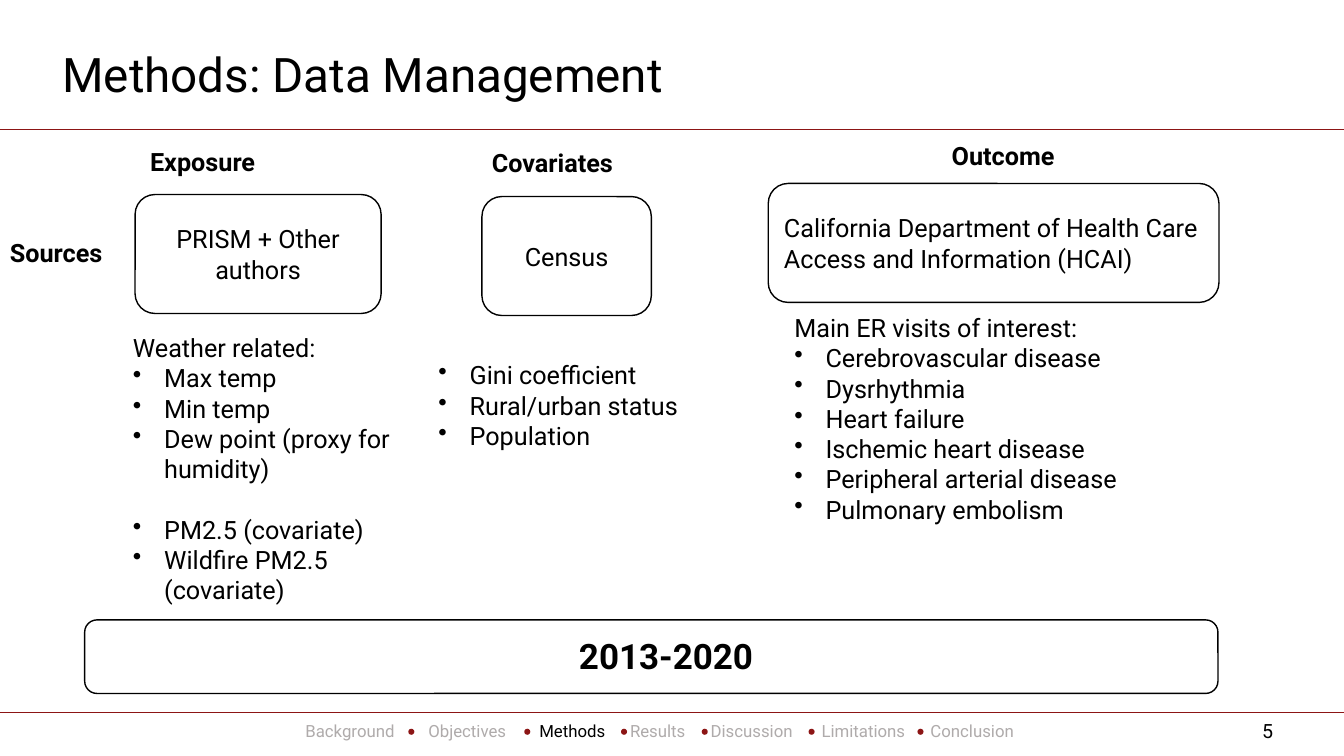
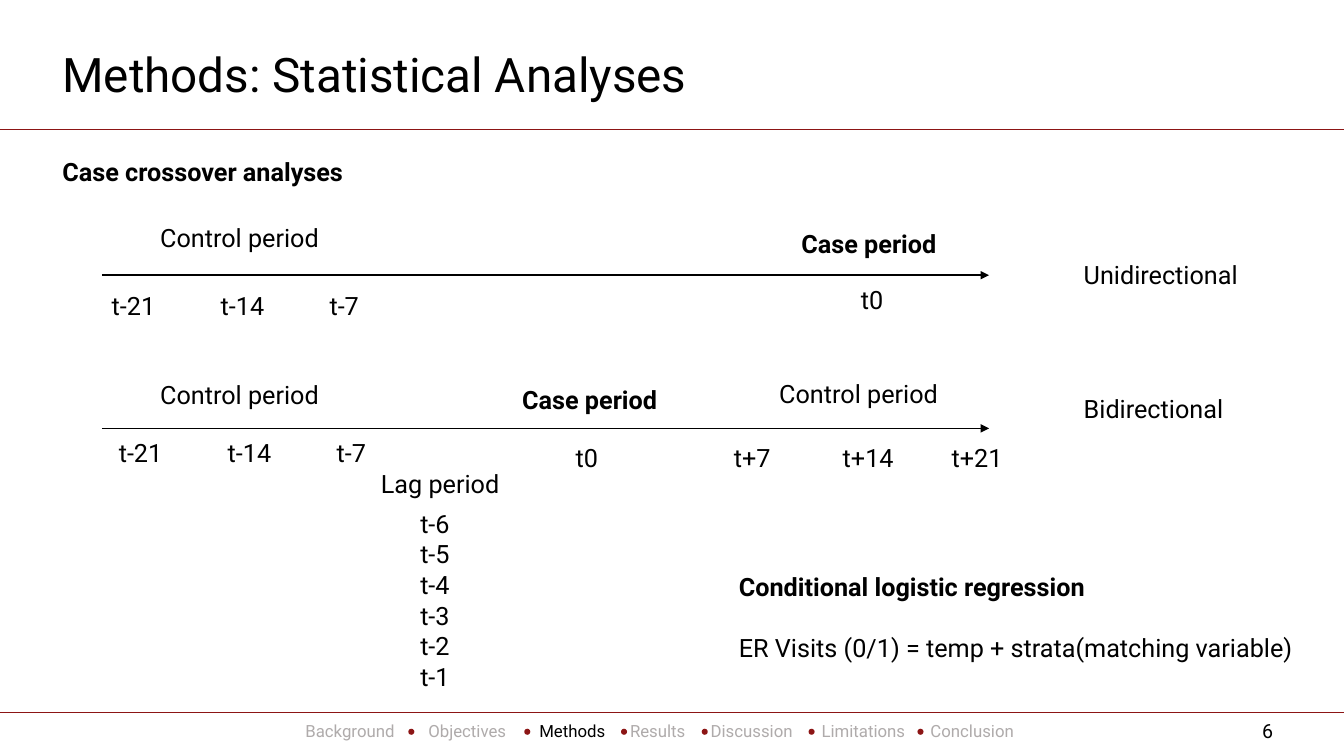
import dataclasses

import lxml.etree
import pptx
import pptx.dml.color
import pptx.enum.shapes
import pptx.enum.text
import pptx.oxml.ns
import pptx.util

Inches = pptx.util.Inches
Pt = pptx.util.Pt
Color = pptx.dml.color.RGBColor.from_string
Shape = pptx.enum.shapes.MSO_SHAPE
Align = pptx.enum.text.PP_ALIGN
Anchor = pptx.enum.text.MSO_ANCHOR
qn = pptx.oxml.ns.qn


@dataclasses.dataclass(frozen=True)
class Theme:
    font: str = "Roboto"
    ink: str = "000000"
    paper: str = "FFFFFF"
    accent: str = "8C1515"
    muted: str = "AFABAB"
    title: int = 34
    banner: int = 25
    body: int = 18
    number: int = 14
    footer: int = 12
    gap: float = 21.6


THEME = Theme()
WIDTH, HEIGHT = 13.33, 7.5
STAGES = ["Background", "Objectives", "Methods", "Results",
          "Discussion", "Limitations", "Conclusion"]
STOPS = [1.22, 2.32, 3.22, 4.02, 5.12, 6.2]
DOTS = [4.05, 5.2, 6.16, 6.96, 8.02, 9.1]


def put(target, values):
    for name, value in values.items():
        setattr(target, name, value)


def box(*at):
    return [Inches(length) for length in at]


def write(para, text, size=THEME.body, bold=False, color=THEME.ink):
    run = para.add_run()
    run.text = text
    put(run.font, {"name": THEME.font, "size": Pt(size), "bold": bold})
    run.font.color.rgb = Color(color)


def label(slide, at, text="", anchor=Anchor.TOP, form=None, **style):
    """Add a one-paragraph text box; form holds paragraph formats."""
    frame = slide.shapes.add_textbox(*box(*at)).text_frame
    put(frame, {"word_wrap": True, "vertical_anchor": anchor})
    para = frame.paragraphs[0]
    put(para, form or {})
    if text:
        write(para, text, **style)
    return frame


def bullet(para, text):
    props = para._p.get_or_add_pPr()
    props.set("marL", str(Inches(0.31)))
    props.set("indent", str(-Inches(0.31)))
    lxml.etree.SubElement(props, qn("a:buChar")).set("char", "•")
    write(para, text)


def listing(slide, at, items, head=None, breaks=()):
    """Add bullets under an optional head, with a gap before each break."""
    frame = label(slide, at, head or "")
    for index, item in enumerate(items):
        fresh = head or index
        para = frame.add_paragraph() if fresh else frame.paragraphs[0]
        bullet(para, item)
        if item in breaks:
            para.space_before = Pt(THEME.gap)


def panel(slide, at, text="", align=Align.CENTER):
    shape = slide.shapes.add_shape(Shape.ROUNDED_RECTANGLE, *box(*at))
    shape.shadow.inherit = False
    shape.fill.solid()
    shape.fill.fore_color.rgb = Color(THEME.paper)
    shape.line.color.rgb = Color(THEME.ink)
    shape.line.width = Pt(1)
    shape.text_frame.vertical_anchor = Anchor.MIDDLE
    if text:
        para = shape.text_frame.paragraphs[0]
        para.alignment = align
        write(para, text)


def dot(slide, left):
    shape = slide.shapes.add_shape(Shape.OVAL, *box(left, 7.23, 0.06, 0.06))
    shape.shadow.inherit = False
    shape.fill.solid()
    shape.fill.fore_color.rgb = Color(THEME.accent)
    shape.line.fill.background()


def rule(slide, left, right, top, color=THEME.accent, width=0.5, arrow=False):
    line = slide.shapes.add_connector(
        pptx.enum.shapes.MSO_CONNECTOR.STRAIGHT, *box(left, top, right, top))
    line.line.color.rgb = Color(color)
    line.line.width = Pt(width)
    props = line._element.spPr
    lxml.etree.SubElement(props, qn("a:effectLst"))
    if arrow:
        tail = lxml.etree.SubElement(props.find(qn("a:ln")), qn("a:tailEnd"))
        tail.set("type", "triangle")


def footer(slide, stage):
    """Show the stages on tab stops, the current one in ink."""
    para = label(slide, (2.93, 7.1, 9.58, 0.3)).paragraphs[0]
    tabs = lxml.etree.SubElement(para._p.get_or_add_pPr(), qn("a:tabLst"))
    for stop in STOPS:
        tab = lxml.etree.SubElement(tabs, qn("a:tab"))
        tab.set("pos", str(Inches(stop)))
        tab.set("algn", "l")
    for index, name in enumerate(STAGES):
        color = THEME.ink if name == stage else THEME.muted
        write(para, "\t" * bool(index) + name, THEME.footer, color=color)
    for left in DOTS:
        dot(slide, left)


def start(deck, title, number):
    """Add a slide with the shared title, rules and footer."""
    slide = deck.slides.add_slide(deck.slide_layouts[6])
    for top in (1.28, 7.07):
        rule(slide, 0, WIDTH, top)
    footer(slide, "Methods")
    label(slide, (12.42, 7.08, 0.72, 0.4), str(number), size=THEME.number)
    label(slide, (0.52, 0.4, 12.17, 0.72), title, Anchor.MIDDLE,
          {"line_spacing": 0.9}, size=THEME.title)
    return slide


def marks(slide, left, top, names):
    for index, name in enumerate(names):
        label(slide, (left + 1.08 * index, top, 0.91, 0.4), name)


def data(deck):
    slide = start(deck, "Methods: Data Management", 5)
    heads = [("Exposure", 1.39, 1.4), ("Covariates", 4.78, 1.41),
             ("Outcome", 9.34, 1.34), ("Sources", 0, 2.31)]
    for text, left, top in heads:
        label(slide, (left, top, 1.9, 0.4), text, bold=True)
    panel(slide, (1.34, 1.93, 2.44, 1.18), "PRISM + Other authors")
    panel(slide, (4.78, 1.95, 1.68, 1.18), "Census")
    panel(slide, (7.62, 1.82, 4.47, 1.18),
          "California Department of Health Care Access and Information (HCAI)",
          Align.LEFT)
    listing(slide, (1.22, 3.25, 3.08, 2.83),
            ["Max temp", "Min temp", "Dew point (proxy for humidity)",
             "PM2.5 (covariate)", "Wildfire PM2.5 (covariate)"],
            "Weather related:", ["PM2.5 (covariate)"])
    listing(slide, (4.25, 3.52, 2.73, 1.31),
            ["Gini coefficient", "Rural/urban status", "Population"])
    listing(slide, (7.78, 3.05, 3.85, 2.52),
            ["Cerebrovascular disease", "Dysrhythmia", "Heart failure",
             "Ischemic heart disease", "Peripheral arterial disease",
             "Pulmonary embolism"], "Main ER visits of interest:")
    panel(slide, (0.84, 6.15, 11.24, 0.73))
    label(slide, (1.24, 6.25, 10.73, 0.52), "2013-2020",
          form={"alignment": Align.CENTER}, size=THEME.banner, bold=True)


def stats(deck):
    slide = start(deck, "Methods: Statistical Analyses", 6)
    label(slide, (0.52, 1.35, 6.68, 0.5), "Case crossover analyses",
          form={"line_spacing": 1.5}, bold=True)
    for top in (2.73, 4.25):
        rule(slide, 1.01, 9.81, top, THEME.ink, 1, True)
    spans = [("Control period", 1.49, 2.16), ("Case period", 7.85, 2.22),
             ("Control period", 1.49, 3.71), ("Case period", 5.08, 3.76),
             ("Control period", 7.63, 3.7), ("Lag period", 3.68, 4.6),
             ("Unidirectional", 10.65, 2.52), ("Bidirectional", 10.65, 3.85)]
    for text, left, top in spans:
        label(slide, (left, top, 2.28, 0.4), text, bold=text == "Case period")
    before = ["t-21", "t-14", "t-7"]
    marks(slide, 1.01, 2.83, before)
    marks(slide, 8.44, 2.77, ["t0"])
    marks(slide, 1.08, 4.29, before)
    marks(slide, 5.61, 4.34, ["t0"])
    marks(slide, 7.18, 4.34, ["t+7", "t+14", "t+21"])
    for index in range(6):
        top = 4.99 + 1.52 * index / 5
        label(slide, (4.07, top, 0.84, 0.4), f"t-{6 - index}")
    frame = label(slide, (7.23, 5.62, 6, 1.01),
                  "Conditional logistic regression", bold=True)
    model = frame.add_paragraph()
    model.space_before = Pt(THEME.gap)
    write(model, "ER Visits (0/1) = temp + strata(matching variable)")


def main():
    deck = pptx.Presentation()
    put(deck, {"slide_width": Inches(WIDTH), "slide_height": Inches(HEIGHT)})
    data(deck)
    stats(deck)
    deck.save("out.pptx")


if __name__ == "__main__":
    main()
